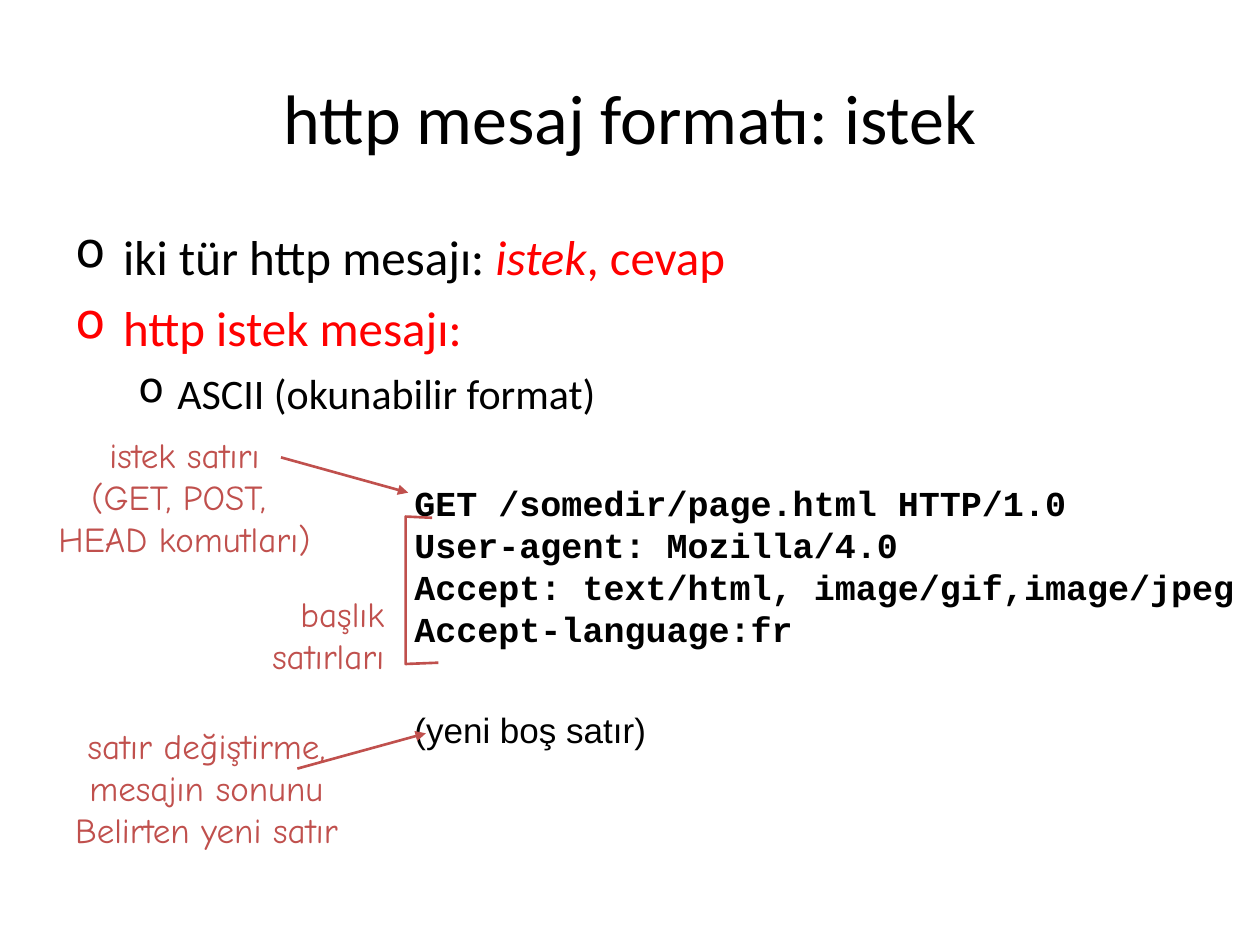
import pptx
import pptx.dml.color
import pptx.enum.shapes
import pptx.enum.text
import pptx.util
from lxml import etree
from pptx.oxml.ns import qn
from pptx.util import Inches

BLACK, RED, ACCENT = "000000", "FF0000", "C0504D"
ALIGN = pptx.enum.text.PP_ALIGN
ANCHOR = pptx.enum.text.MSO_ANCHOR
AUTO_SIZE = pptx.enum.text.MSO_AUTO_SIZE


def color(hex_value):
    """Turn a hex string into a colour."""
    return pptx.dml.color.RGBColor.from_string(hex_value)


def add_box(slide, at, **formats):
    """Add a text box and return its text frame."""
    frame = slide.shapes.add_textbox(*map(Inches, at)).text_frame
    for name, value in {"word_wrap": True, **formats}.items():
        setattr(frame, name, value)
    return frame


def add_paragraph(frame, is_first, **formats):
    """Return the next paragraph of a frame with its formats set."""
    paragraph = frame.paragraphs[0] if is_first else frame.add_paragraph()
    for name, value in formats.items():
        setattr(paragraph, name, value)
    return paragraph


def add_run(paragraph, text, size, font, hex_value, **formats):
    """Add a run of formatted text."""
    run = paragraph.add_run()
    run.text = text
    values = {"size": pptx.util.Pt(size), "name": font, **formats}
    for name, value in values.items():
        setattr(run.font, name, value)
    run.font.color.rgb = color(hex_value)


def add_bullet(paragraph, margin, indent, hex_value):
    """Give a paragraph a hanging letter o as its bullet."""
    properties = paragraph._p.get_or_add_pPr()
    properties.set("marL", str(Inches(margin)))
    properties.set("indent", str(-Inches(indent)))
    bullet_color = etree.SubElement(properties, qn("a:buClr"))
    etree.SubElement(bullet_color, qn("a:srgbClr")).set("val", hex_value)
    etree.SubElement(properties, qn("a:buChar")).set("char", "o")


def add_title(slide, text):
    """Add the centred slide title."""
    frame = add_box(slide, (0.5, 0.3, 9, 1.25), vertical_anchor=ANCHOR.MIDDLE)
    title = add_paragraph(frame, True, alignment=ALIGN.CENTER)
    add_run(title, text, 40, "Calibri", BLACK)


def add_outline(slide, points):
    """Add the bulleted points, each a level and its text parts."""
    levels = [(0.38, 0.38, 28, 7), (0.81, 0.31, 24, 6)]
    frame = add_box(slide, (0.5, 1.75, 9, 4.95))
    for index, (level, parts) in enumerate(points):
        margin, indent, size, gap = levels[level]
        point = add_paragraph(frame, index == 0, level=level)
        if index:
            point.space_before = pptx.util.Pt(gap)
        add_bullet(point, margin, indent, parts[0][1])
        for text, hex_value, italic in parts:
            add_run(point, text, size, "Calibri", hex_value, italic=italic)


def add_lines(slide, at, lines, font, hex_value, alignment, **formats):
    """Add unwrapped lines of text at an even pitch."""
    frame = add_box(slide, at, word_wrap=False, auto_size=AUTO_SIZE.SHAPE_TO_FIT_TEXT)
    for index, text in enumerate(lines):
        line = add_paragraph(frame, index == 0, alignment=alignment,
                             line_spacing=pptx.util.Pt(24))
        add_run(line, text, 20, font, hex_value, **formats)
    return frame


def add_request(slide, lines, ending):
    """Add the request code and the note on its closing blank line."""
    frame = add_lines(slide, (3.19, 3.77, 6.88, 2.24), lines, "Courier New",
                      BLACK, ALIGN.LEFT, bold=True)
    note = add_paragraph(frame, False, line_spacing=pptx.util.Pt(28.8),
                         space_before=pptx.util.Pt(28.8))
    add_run(note, ending, 20, "Arial", BLACK)


def style_line(line):
    """Set the accent colour and width of a line."""
    line.color.rgb = color(ACCENT)
    line.width = pptx.util.Pt(1.5)


def add_arrow(slide, start, end):
    """Add a straight arrow from start to end."""
    arrow = slide.shapes.add_connector(
        pptx.enum.shapes.MSO_CONNECTOR.STRAIGHT, *map(Inches, start + end))
    style_line(arrow.line)
    outline = arrow.line._get_or_add_ln()
    etree.SubElement(outline, qn("a:tailEnd")).set("type", "triangle")
    etree.SubElement(arrow._element.spPr, qn("a:effectLst"))


def add_bracket(slide, points):
    """Add an open bracket through the points."""
    corners = [tuple(map(Inches, point)) for point in points]
    builder = slide.shapes.build_freeform(*corners[0])
    builder.add_line_segments(corners[1:], close=False)
    bracket = builder.convert_to_shape()
    bracket.shadow.inherit = False
    bracket.fill.background()
    style_line(bracket.line)


def main():
    """Build the slide and save it."""
    deck = pptx.Presentation()
    deck.slide_width, deck.slide_height = Inches(10), Inches(7.5)
    slide = deck.slides.add_slide(deck.slide_layouts[6])

    add_title(slide, "http mesaj formatı: istek")
    add_outline(slide, [
        (0, [("iki tür http mesajı: ", BLACK, False), ("istek", RED, True),
             (", cevap", RED, False)]),
        (0, [("http istek mesajı:", RED, False)]),
        (1, [("ASCII (okunabilir format)", BLACK, False)]),
    ])
    add_request(slide, [
        "GET /somedir/page.html HTTP/1.0",
        "User-agent: Mozilla/4.0",
        "Accept: text/html, image/gif,image/jpeg",
        "Accept-language:fr",
    ], "(yeni boş satır)")

    labels = [
        ((0.36, 3.39, 2.21, 1.1), ALIGN.CENTER,
         ["istek satırı", "(GET, POST, ", "HEAD komutları)"]),
        ((1.97, 4.65, 1.18, 0.77), ALIGN.RIGHT, ["başlık", "satırları"]),
        ((0.49, 5.7, 2.39, 1.1), ALIGN.CENTER,
         ["satır değiştirme, ", "mesajın sonunu ", "Belirten yeni satır "]),
    ]
    for at, alignment, lines in labels:
        add_lines(slide, at, lines, "Comic Neue", ACCENT, alignment)

    add_arrow(slide, (2.23, 3.63), (3.24, 3.91))
    add_arrow(slide, (2.36, 6.1), (3.38, 5.82))
    add_bracket(slide, [(3.43, 4.11), (3.22, 4.1), (3.22, 5.27), (3.48, 5.26)])
    deck.save("out.pptx")


if __name__ == "__main__":
    main()
